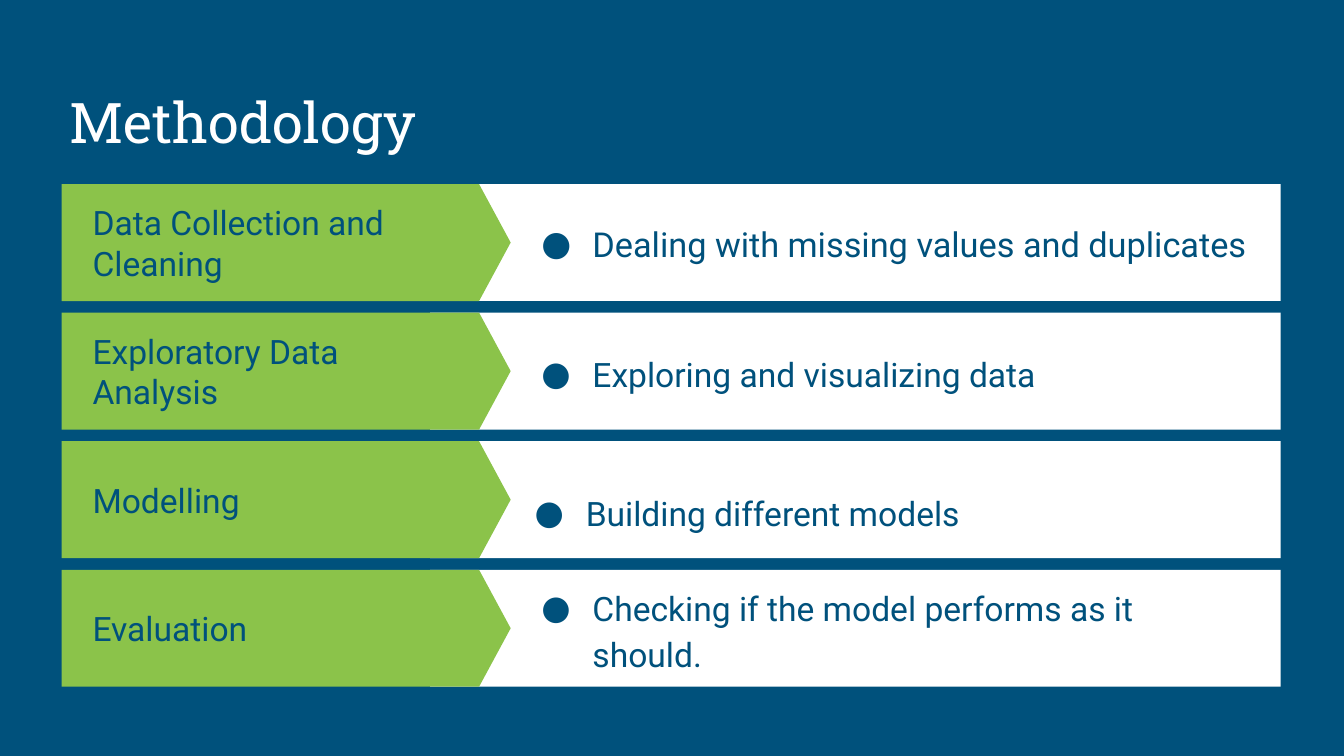
"""Build the methodology slide: four steps, each with its task."""
from dataclasses import dataclass

from lxml.etree import Element
from pptx import Presentation
from pptx.dml.color import RGBColor
from pptx.enum.shapes import MSO_SHAPE
from pptx.enum.text import MSO_ANCHOR
from pptx.oxml.ns import qn
from pptx.util import Inches, Pt

NAVY = RGBColor(0x00, 0x51, 0x7C)
GREEN = RGBColor(0x8B, 0xC3, 0x4A)
WHITE = RGBColor(0xFF, 0xFF, 0xFF)
FACE = "Roboto"
TOP, LAST, HIGH = 1.37, 4.24, 0.87


@dataclass
class Step:
    name: str
    task: str
    size: float = 18
    space: float = 1.15
    dx: float = 0
    dy: float = 0


STEPS = [
    Step("Data Collection and Cleaning", "Dealing with missing values and duplicates", 18.4, 1.05),
    Step("Exploratory Data Analysis", "Exploring and visualizing data"),
    Step("Modelling", "Building different models", dx=-0.05, dy=0.08),
    Step("Evaluation", "Checking if the model performs as it should."),
]


def add_block(group, kind: MSO_SHAPE, left: float, top: float, width: float, color: RGBColor):
    block = group.shapes.add_shape(kind, Inches(left), Inches(top), Inches(width), Inches(HIGH))
    block.shadow.inherit = False
    block.fill.solid()
    block.fill.fore_color.rgb = color
    block.line.fill.background()
    return block


def add_text(slide, text: str, left: float, top: float, width: float, high: float = HIGH,
             size: float = 18, face: str = FACE, color: RGBColor = NAVY,
             anchor: MSO_ANCHOR = MSO_ANCHOR.MIDDLE):
    box = slide.shapes.add_textbox(Inches(left), Inches(top), Inches(width), Inches(high))
    frame = box.text_frame
    frame.word_wrap = True
    frame.vertical_anchor = anchor
    frame.margin_left = frame.margin_right = Inches(0.1)
    frame.margin_top = frame.margin_bottom = Inches(0.1)
    para = frame.paragraphs[0]
    para.text = text
    para.font.name = face
    para.font.size = Pt(size)
    para.font.color.rgb = color
    return para


def add_bullet(para, space: float) -> None:
    para.line_spacing = space
    props = para._p.get_or_add_pPr()
    props.set("marL", str(Inches(0.5)))
    props.set("indent", str(Inches(-0.38)))
    for tag, key, value in (("a:buFont", "typeface", FACE), ("a:buChar", "char", "●")):
        mark = Element(qn(tag))
        mark.set(key, value)
        props.insert_element_before(mark, "a:tabLst", "a:defRPr", "a:extLst")


def add_step(slide, step: Step, top: float) -> None:
    group = slide.shapes.add_group_shape()
    add_block(group, MSO_SHAPE.RECTANGLE, 3.2, top, 6.33, WHITE)
    arrow = add_block(group, MSO_SHAPE.PENTAGON, 0.46, top, 3.34, GREEN)
    arrow.adjustments[0] = 0.27
    add_text(slide, step.name, 0.59, top, 2.65)
    task = add_text(slide, step.task, 3.81 + step.dx, top + step.dy, 5.59, size=step.size)
    add_bullet(task, step.space)


def main() -> None:
    deck = Presentation()
    deck.slide_width = Inches(10)
    deck.slide_height = deck.slide_width * 9 // 16
    slide = deck.slides.add_slide(deck.slide_layouts[6])
    slide.background.fill.solid()
    slide.background.fill.fore_color.rgb = NAVY
    add_text(slide, "Methodology", 0.42, 0.5, 9.15, 0.75, 30, "Roboto Slab", WHITE, MSO_ANCHOR.BOTTOM)
    pitch = (LAST - TOP) / (len(STEPS) - 1)
    for row, step in enumerate(STEPS):
        add_step(slide, step, TOP + row * pitch)
    deck.save("out.pptx")


if __name__ == "__main__":
    main()
